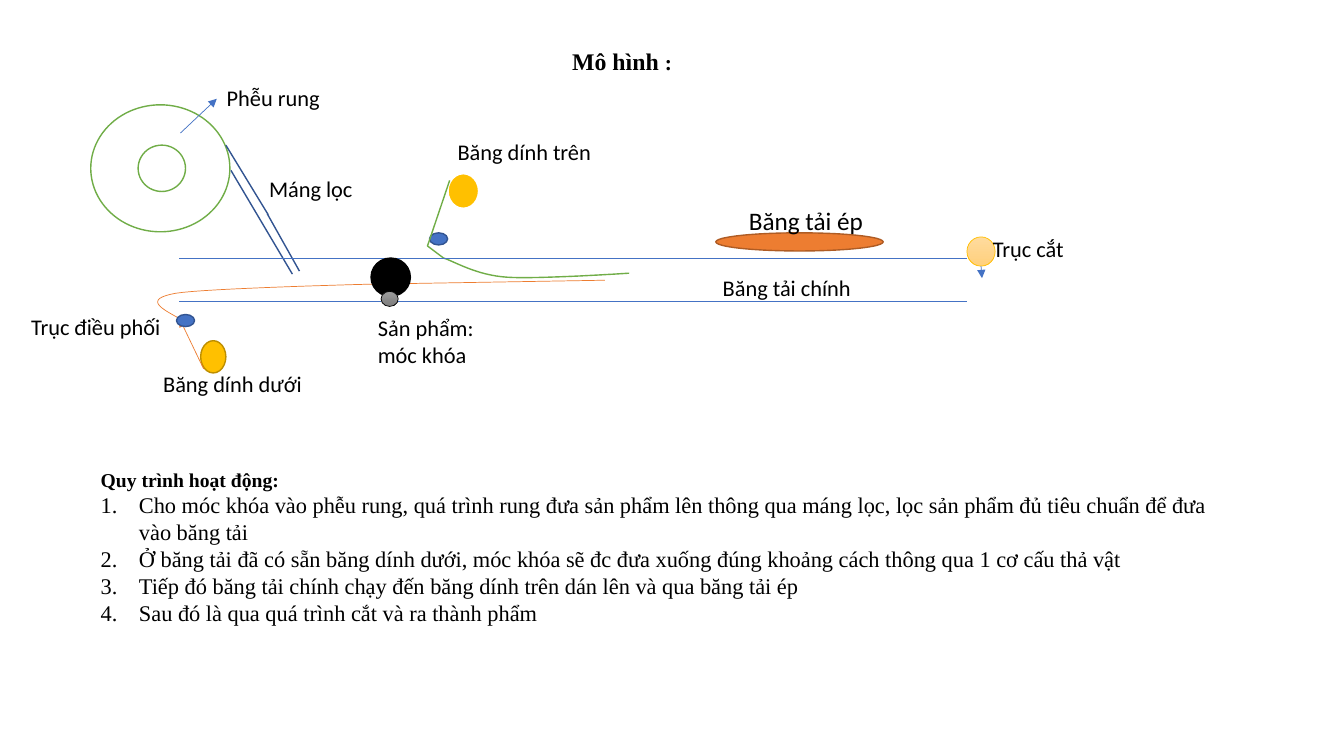
from dataclasses import dataclass

from lxml import etree
from pptx import Presentation
from pptx.dml.color import RGBColor
from pptx.enum.shapes import MSO_CONNECTOR, MSO_SHAPE
from pptx.enum.text import PP_ALIGN
from pptx.oxml.ns import qn
from pptx.util import Inches, Pt

OVAL = MSO_SHAPE.OVAL
STRAIGHT = MSO_CONNECTOR.STRAIGHT
CENTER = PP_ALIGN.CENTER
SANS, SERIF = "Calibri", "Times New Roman"
BLACK, WHITE, GREEN = "000000", "FFFFFF", "70AD47"
BLUE, NAVY, ORANGE, GOLD = "4472C4", "325491", "ED7D31", "FFC000"
CURVE_STEPS = 16
Point = tuple[float, float]


@dataclass
class Oval:
    box: tuple[float, float, float, float]
    fill: tuple[str, ...]  # one colour, or top and bottom of a gradient
    line: str
    width: float = 1


@dataclass
class Path:
    """A start point, then segments of one point (line) or three (Bézier curve)."""
    start: Point
    segments: list[tuple[Point, ...]]
    line: str
    width: float = 1


@dataclass
class Link:
    start: Point
    end: Point
    line: str = BLUE
    arrow: bool = False


@dataclass
class Label:
    text: str
    x: float
    y: float
    w: float
    h: float = 0.37
    size: float = 16
    wrap: bool = True


DIAGRAM = [
    # Hopper and filter chute
    Oval((0.9, 1.04, 1.38, 1.26), (WHITE,), GREEN),
    Path((2.24, 1.44), [((2.66, 2.13),)], NAVY),
    Path((2.29, 1.69), [((2.9, 2.72),)], NAVY),
    Path((2.65, 2.12), [((2.97, 2.69),)], NAVY),
    # Lower tape
    Oval((1.99, 3.38, 0.25, 0.32), (GOLD,), "BD8E00"),
    Oval((1.78, 3.16, 0.06, 0.05), (BLUE,), NAVY),
    Link((2.02, 3.66), (1.78, 3.16), ORANGE, arrow=True),
    Path((1.78, 3.16), [((1.6, 3.06), (1.42, 2.97), (1.74, 2.91)),
                        ((2.05, 2.86), (3.65, 2.82), (3.65, 2.82)),
                        ((6, 2.78),)], ORANGE, 0.5),
    # Upper tape
    Oval((4.44, 1.72, 0.31, 0.35), (GOLD,), WHITE, 1.5),
    Oval((4.26, 2.31, 0.18, 0.12), (BLUE,), NAVY),
    Path((4.46, 1.79), [((4.24, 2.44),), ((4.4, 2.56),),
                        ((4.5, 2.59), (4.72, 2.73), (5.03, 2.75)),
                        ((5.34, 2.77), (6.24, 2.71), (6.24, 2.71))], GREEN),
    # Press belt and cutter
    Oval((7.1, 2.31, 1.66, 0.18), (ORANGE,), "AF5C24"),
    Oval((9.59, 2.35, 0.28, 0.29), ("FFDB9E", "FFD07C"), GOLD, 0.5),
    Link((9.73, 2.64), (9.74, 2.76), arrow=True),
    # Main belt, two overlapping stretches on each edge
    *[Link((left, y), (right, y))
      for left, right in ((1.78, 6.43), (4.95, 9.59)) for y in (2.56, 2.99)],
    # Hopper core, product and guide roller
    Oval((1.37, 1.44, 0.47, 0.46), (WHITE,), GREEN),
    Oval((3.68, 2.56, 0.39, 0.38), (BLACK,), BLACK),
    Oval((3.78, 2.89, 0.17, 0.15), ("9D9D9D", "7C7C7C"), BLACK, 0.5),
    Oval((1.75, 3.12, 0.18, 0.12), (BLUE,), NAVY),
    Label("Phễu rung", 2.15, 0.79, 1.13, wrap=False),
    Label("Máng lọc", 2.57, 1.69, 2.18),
    Label("Băng tải chính", 7.07, 2.67, 1.57),
    Label("Băng tải ép", 7.33, 1.99, 1.66, 0.4, 18),
    Label("Băng dính dưới", 1.52, 3.62, 2.14),
    Label("Trục cắt", 9.75, 2.28, 1.28),
    Label("Băng dính trên", 4.44, 1.32, 1.81),
    Label("Trục điều phối", 0.21, 3.06, 1.83),
    Label("Sản phẩm: móc khóa", 3.65, 3.07, 1.36, 0.64),
    Link((1.79, 1.32), (2.15, 0.98), arrow=True),
]
STEPS = [
    "Cho móc khóa vào phễu rung, quá trình rung đưa sản phẩm lên thông qua máng lọc, "
    "lọc sản phẩm đủ tiêu chuẩn để đưa vào băng tải",
    "Ở băng tải đã có sẵn băng dính dưới, móc khóa sẽ đc đưa xuống đúng khoảng cách "
    "thông qua 1 cơ cấu thả vật",
    "Tiếp đó băng tải chính chạy đến băng dính trên dán lên và qua băng tải ép",
    "Sau đó là qua quá trình cắt và ra thành phẩm",
]


def rgb(value: str) -> RGBColor:
    return RGBColor.from_string(value)


def set_line(sp, color: str, width: float) -> None:
    sp.line.color.rgb = rgb(color)
    sp.line.width = Pt(width)


def draw_oval(s, oval: Oval) -> None:
    sp = s.shapes.add_shape(OVAL, *map(Inches, oval.box))
    sp.shadow.inherit = False
    if len(oval.fill) == 1:
        sp.fill.solid()
        sp.fill.fore_color.rgb = rgb(oval.fill[0])
    else:
        sp.fill.gradient()
        sp.fill.gradient_angle = 270
        for stop, color in zip(sp.fill.gradient_stops, oval.fill):
            stop.color.rgb = rgb(color)
    set_line(sp, oval.line, oval.width)


def bezier(p0: Point, p1: Point, p2: Point, p3: Point) -> list[Point]:
    points = []
    for i in range(1, CURVE_STEPS + 1):
        t = i / CURVE_STEPS
        u = 1 - t
        points.append(tuple(u**3 * a + 3 * u * u * t * b + 3 * u * t * t * c + t**3 * d
                            for a, b, c, d in zip(p0, p1, p2, p3)))
    return points


def draw_path(s, path: Path) -> None:
    points = [path.start]
    for segment in path.segments:
        points += bezier(points[-1], *segment) if len(segment) == 3 else segment
    emu = [(Inches(x), Inches(y)) for x, y in points]
    builder = s.shapes.build_freeform(*emu[0])
    builder.add_line_segments(emu[1:], close=False)
    sp = builder.convert_to_shape()
    sp.shadow.inherit = False
    sp.fill.background()
    set_line(sp, path.line, path.width)


def draw_link(s, link: Link) -> None:
    sp = s.shapes.add_connector(STRAIGHT, *map(Inches, link.start + link.end))
    set_line(sp, link.line, 0.5)
    if link.arrow:
        etree.SubElement(sp.line._get_or_add_ln(), qn("a:tailEnd"), type="triangle")
    etree.SubElement(sp._element.spPr, qn("a:effectLst"))


def add_run(p, text: str, size: float, name: str, bold: bool = False) -> None:
    r = p.add_run()
    r.text = text
    for key, value in {"size": Pt(size), "name": name, "bold": bold}.items():
        setattr(r.font, key, value)
    r.font.color.rgb = rgb(BLACK)


def add_frame(s, x: float, y: float, w: float, h: float, wrap: bool = True):
    tf = s.shapes.add_textbox(*map(Inches, (x, y, w, h))).text_frame
    tf.word_wrap = wrap
    return tf


def draw_label(s, label: Label) -> None:
    tf = add_frame(s, label.x, label.y, label.w, label.h, label.wrap)
    add_run(tf.paragraphs[0], label.text, label.size, SANS)


def draw_title(s) -> None:
    p = add_frame(s, 0.42, 0.49, 11.5, 0.31).paragraphs[0]
    p.alignment = CENTER
    p.line_spacing = 0.7
    add_run(p, "Mô hình ", 17, SERIF, True)
    add_run(p, ":", 15.3, SERIF, True)


def draw_process(s) -> None:
    tf = add_frame(s, 0.9, 4.59, 11.5, 1.88)
    add_run(tf.paragraphs[0], "Quy trình hoạt động:", 14, SERIF, True)
    for step in STEPS:
        p = tf.add_paragraph()
        pPr = p._p.get_or_add_pPr()
        pPr.set("marL", str(Inches(0.38)))
        pPr.set("indent", str(Inches(-0.38)))
        etree.SubElement(pPr, qn("a:buAutoNum"), type="arabicPeriod")
        add_run(p, step, 16, SERIF)


def main() -> None:
    prs = Presentation()
    prs.slide_width, prs.slide_height = Inches(13.33), Inches(7.5)
    s = prs.slides.add_slide(prs.slide_layouts[6])
    draw_title(s)
    draw = {Oval: draw_oval, Path: draw_path, Link: draw_link, Label: draw_label}
    for item in DIAGRAM:
        draw[type(item)](s, item)
    draw_process(s)
    prs.save("out.pptx")


if __name__ == "__main__":
    main()
